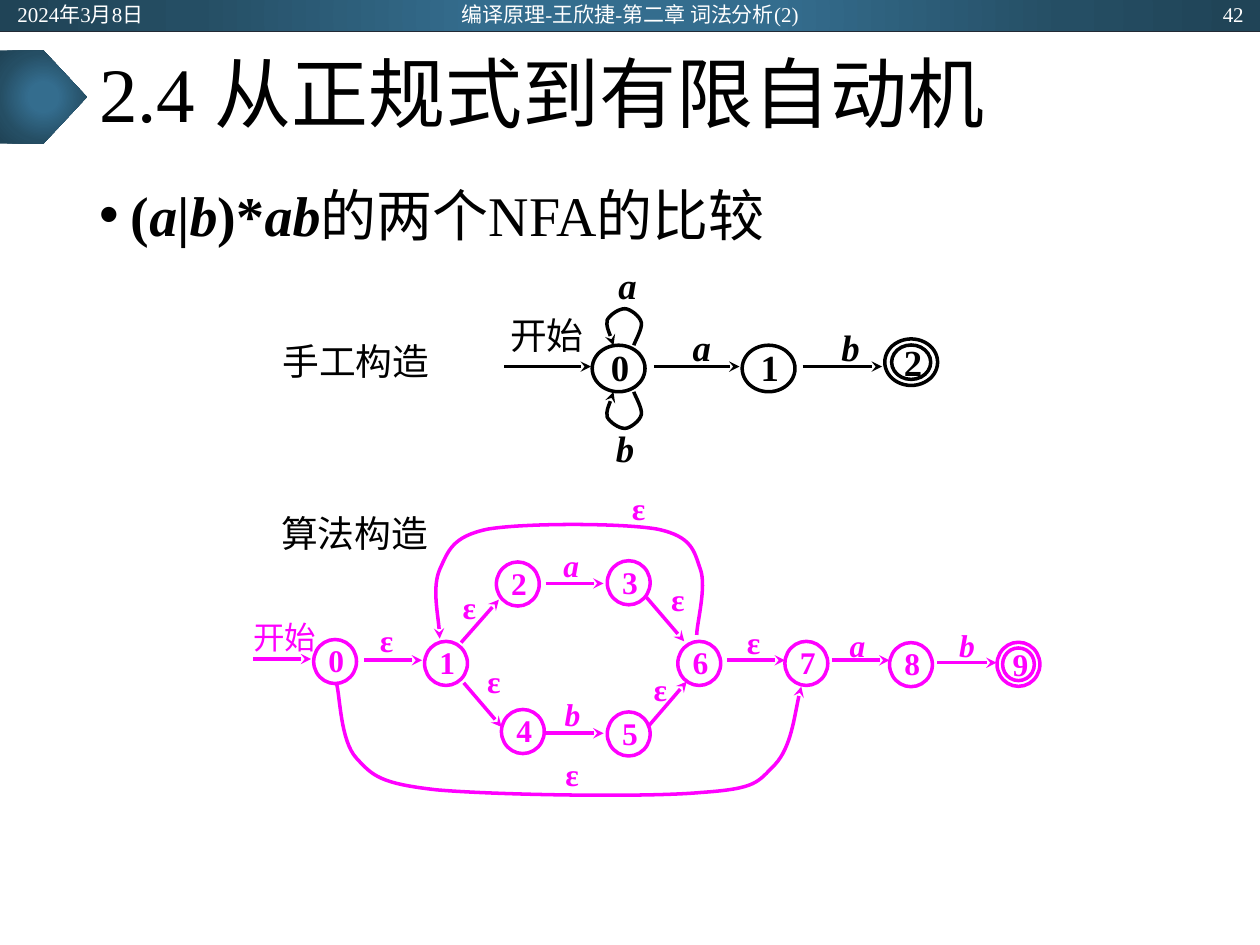
from dataclasses import dataclass

import pptx
import pptx.dml.color
import pptx.enum.shapes
import pptx.enum.text
import pptx.oxml
import pptx.oxml.ns
import pptx.util
from lxml import etree

Pt = pptx.util.Pt
qn = pptx.oxml.ns.qn
Color = pptx.dml.color.RGBColor.from_string
Align = pptx.enum.text.PP_ALIGN
Anchor = pptx.enum.text.MSO_ANCHOR
Preset = pptx.enum.shapes.MSO_SHAPE
Point = tuple[float, float]


@dataclass(frozen=True)
class Theme:
    font: str = "Times New Roman"
    ink: str = "000000"
    accent: str = "FF00FF"
    light: str = "FFFFFF"
    rule: str = "222A35"
    gradient: tuple = ((0, "346D8E"), (23, "346D8E"), (69, "254E64"), (97, "204457"))
    title: float = 44
    body: float = 32
    manual: float = 21
    algorithm: float = 18
    banner: float = 12
    stroke: float = 2


@dataclass(frozen=True)
class State:
    name: str
    x: float
    y: float
    accepting: bool = False


@dataclass(frozen=True)
class Label:
    text: str
    x: float
    y: float


@dataclass(frozen=True)
class Automaton:
    color: str
    size: float
    state_size: Point
    states: list[State]
    arrows: list[tuple[float, float, float, float]]
    curves: list[list[Point]]
    labels: list[Label]


THEME = Theme()
ACCEPTING_SCALE = 0.74
LOOP_ABOVE = [(362.2, 197.3), (362.9, 195.1), (367.2, 187.9), (366.5, 184.3),
              (365.8, 180.7), (360, 176.4), (357.1, 176.4), (353.5, 176.4),
              (348.5, 180), (347, 182.9), (346.3, 186.5), (349.9, 194.4), (350.6, 197.3)]
LOOP_AXIS = 210.6

MANUAL = Automaton(
    THEME.ink, THEME.manual, (30.2, 26.6),
    [State("0", 353.5, LOOP_AXIS), State("1", 439.2, LOOP_AXIS), State("2", 520.7, 207, True)],
    [(288, 209.5, 337.7, 209.5), (373.7, 209.5, 422.6, 209.5), (458.6, 209.5, 504, 209.5)],
    [LOOP_ABOVE, [(x, 2 * LOOP_AXIS - y) for x, y in LOOP_ABOVE]],
    [Label("开始", 312.5, 191.2), Label("a", 401, 198), Label("b", 486, 198),
     Label("a", 358.6, 162.7), Label("b", 357.1, 255.6)],
)

ALGORITHM = Automaton(
    THEME.accent, THEME.algorithm, (24.5, 25.2),
    [State("0", 191.5, 378), State("1", 254.9, 379.1), State("2", 295.9, 333.7),
     State("3", 359.3, 333), State("4", 298.8, 418), State("5", 359.3, 419.4),
     State("6", 399.6, 379.1), State("7", 460.8, 379.1), State("8", 520.6, 379.8),
     State("9", 582, 379.6, True)],
    [(144.7, 376.6, 177.8, 376.6), (208.1, 377.3, 241.2, 377.3),
     (415.4, 377.3, 448.6, 377.3), (475.2, 377.3, 508.3, 377.3),
     (535.7, 378.7, 569.5, 378.7), (311.8, 333.4, 344.9, 333.4),
     (311.8, 419, 344.9, 419), (263.5, 367.2, 285.1, 342.7),
     (369.4, 341.3, 391, 366.5), (370.8, 414.7, 392.4, 389.5),
     (265, 390.2, 286.6, 415.4)],
    [[(192.2, 390.2), (194.4, 397.4), (194.4, 423.4), (203.8, 433.4),
      (213.1, 443.5), (217.4, 447.8), (249.8, 451.4), (283, 454.3),
      (368.6, 455.8), (400.3, 452.9), (432.7, 450.7), (432.7, 447.1),
      (442.8, 437), (452.2, 427), (455, 401.8), (457.9, 392.4)],
     [(398.2, 362.9), (398.2, 356.4), (403.9, 335.5), (400.3, 325.4),
      (396.7, 315.4), (396, 306.7), (375.8, 302.4), (355.7, 298.8),
      (299.5, 298.8), (278.6, 302.4), (258.5, 306.7), (256.3, 314.6),
      (251.3, 325.4), (247, 335.5), (251.3, 356.4), (251.3, 365)]],
    [Label("开始", 162.7, 364), Label("ε", 221, 365.4), Label("ε", 268.2, 346.7),
     Label("ε", 282.2, 389.2), Label("a", 326.5, 322.9), Label("b", 327.2, 407.9),
     Label("ε", 387.4, 342.4), Label("ε", 377.3, 393.5), Label("ε", 430.6, 366.8),
     Label("a", 490, 368.3), Label("b", 552.6, 368.6), Label("ε", 326.9, 442.4),
     Label("ε", 365, 290.5)],
)


def format_font(font, size: float, color: str, bold: bool = False, italic: bool = False) -> None:
    font.name = THEME.font
    font.size = Pt(size)
    font.color.rgb = Color(color)
    font.bold = bold
    font.italic = italic


def set_text(shape, text: str, size: float, color: str, align, bold: bool = False,
             italic: bool = False, insets: tuple = (3, 1.5, 3, 1.5), wrap: bool = False) -> None:
    frame = shape.text_frame
    frame.text = text
    frame.word_wrap = wrap
    frame.vertical_anchor = Anchor.MIDDLE
    frame.margin_left, frame.margin_top, frame.margin_right, frame.margin_bottom = map(Pt, insets)
    paragraph = frame.paragraphs[0]
    paragraph.alignment = align
    format_font(paragraph.runs[0].font, size, color, bold, italic)


def format_line(shape, color: str, width: float, arrow: bool = False) -> None:
    shape.line.color.rgb = Color(color)
    shape.line.width = Pt(width)
    if arrow:
        etree.SubElement(shape.line._get_or_add_ln(), qn("a:tailEnd"), type="stealth")


def add_line(shapes, ends: tuple, color: str, width: float, arrow: bool = False) -> None:
    connector = shapes.add_connector(pptx.enum.shapes.MSO_CONNECTOR.STRAIGHT, *map(Pt, ends))
    format_line(connector, color, width, arrow)
    etree.SubElement(connector._element.spPr, qn("a:effectLst"))


def add_ring(shapes, state: State, size: Point, color: str):
    width, height = size
    ring = shapes.add_shape(Preset.OVAL, Pt(state.x - width / 2), Pt(state.y - height / 2),
                            Pt(width), Pt(height))
    ring.shadow.inherit = False
    ring.fill.background()
    format_line(ring, color, THEME.stroke)
    return ring


def add_state(shapes, state: State, automaton: Automaton) -> None:
    ring = add_ring(shapes, state, automaton.state_size, automaton.color)
    insets = (3, 1.5, 1.5, 3)
    if state.accepting:
        width, height = automaton.state_size
        inner_size = (width * ACCEPTING_SCALE, height * ACCEPTING_SCALE)
        ring = add_ring(shapes, state, inner_size, automaton.color)
        insets = (3, 0, 0.7, 0)
    set_text(ring, state.name, automaton.size, automaton.color, Align.CENTER, True, insets=insets)


def add_curve(shapes, points: list[Point], color: str) -> None:
    vertices = [(Pt(x), Pt(y)) for x, y in points]
    builder = shapes.build_freeform(*vertices[0])
    builder.add_line_segments(vertices[3::3], close=False)
    curve = builder.convert_to_shape()
    curve.shadow.inherit = False
    curve.fill.background()
    format_line(curve, color, THEME.stroke, arrow=True)
    for index, segment in enumerate(list(curve._element.iter(qn("a:lnTo")))):
        segment.tag = qn("a:cubicBezTo")
        segment.clear()
        for x, y in vertices[3 * index + 1:3 * index + 4]:
            etree.SubElement(segment, qn("a:pt"), x=str(x - curve.left), y=str(y - curve.top))


def add_label(shapes, label: Label, automaton: Automaton) -> None:
    width, height = automaton.size * 1.2 * len(label.text), automaton.size * 1.2
    box = shapes.add_textbox(Pt(label.x - width / 2), Pt(label.y - height / 2), Pt(width), Pt(height))
    set_text(box, label.text, automaton.size, automaton.color, Align.CENTER,
             bold=label.text != "开始", italic=label.text in ("a", "b"))


def add_automaton(slide, automaton: Automaton) -> None:
    shapes = slide.shapes.add_group_shape().shapes
    for curve in automaton.curves:
        add_curve(shapes, curve, automaton.color)
    for state in automaton.states:
        add_state(shapes, state, automaton)
    for arrow in automaton.arrows:
        add_line(shapes, arrow, automaton.color, THEME.stroke, arrow=True)
    for label in automaton.labels:
        add_label(shapes, label, automaton)


def add_gradient_shape(slide, preset, left: float, top: float, width: float, height: float) -> None:
    shape = slide.shapes.add_shape(preset, Pt(left), Pt(top), Pt(width), Pt(height))
    shape.shadow.inherit = False
    shape.line.fill.background()
    shape.fill.background()
    stops = "".join(f'<a:gs pos="{position * 1000}"><a:srgbClr val="{color}"/></a:gs>'
                    for position, color in THEME.gradient)
    gradient = pptx.oxml.parse_xml(
        f'<a:gradFill {pptx.oxml.ns.nsdecls("a")} rotWithShape="1"><a:gsLst>{stops}</a:gsLst>'
        '<a:path path="circle"><a:fillToRect l="50000" t="50000" r="50000" b="50000"/></a:path>'
        '</a:gradFill>')
    properties = shape._element.spPr
    properties.replace(properties.find(qn("a:noFill")), gradient)


def place(shape, left: float, top: float, width: float, height: float) -> None:
    shape.left, shape.top, shape.width, shape.height = map(Pt, (left, top, width, height))


def fill_placeholders(slide) -> None:
    title, body = slide.placeholders
    place(title, 49.5, 18, 621, 75)
    set_text(title, "2.4 从正规式到有限自动机", THEME.title, THEME.ink, Align.LEFT,
             insets=(7.2, 3.6, 7.2, 3.6), wrap=True)
    title.text_frame.paragraphs[0].line_spacing = 0.9
    place(body, 49.5, 99.5, 621, 387)
    paragraph = body.text_frame.paragraphs[0]
    properties = paragraph._p.get_or_add_pPr()
    properties.set("marL", str(Pt(18)))
    properties.set("indent", str(Pt(-18)))
    etree.SubElement(properties, qn("a:buChar"), char="•")
    paragraph.space_before = Pt(0)
    for text, bold, italic in [("(", True, False), ("a", True, True), ("|", True, False),
                               ("b", True, True), (")*", True, False), ("ab", True, True),
                               ("的两个NFA的比较", False, False)]:
        run = paragraph.add_run()
        run.text = text
        format_font(run.font, THEME.body, THEME.ink, bold, italic)


def main() -> None:
    presentation = pptx.Presentation()
    presentation.slide_width, presentation.slide_height = Pt(720), Pt(540)
    slide = presentation.slides.add_slide(presentation.slide_layouts[1])
    add_gradient_shape(slide, Preset.RECTANGLE, 0, 0, 720, 18)
    add_line(slide.shapes, (0, 18, 720, 18), THEME.rule, 0.5)
    add_gradient_shape(slide, Preset.PENTAGON, 0, 28.8, 49.7, 53.3)
    fill_placeholders(slide)
    add_automaton(slide, MANUAL)
    add_automaton(slide, ALGORITHM)
    for text, left, top in [("手工构造", 158.4, 191.5), ("算法构造", 157.7, 290.2)]:
        box = slide.shapes.add_textbox(Pt(left), Pt(top), Pt(99.4), Pt(28.8))
        set_text(box, text, THEME.manual, THEME.ink, Align.JUSTIFY, wrap=True)
    for text, left, width, align in [("2024年3月8日", 2.9, 162, Align.LEFT),
                                     ("编译原理-王欣捷-第二章 词法分析(2)", 238.3, 243.4, Align.CENTER),
                                     ("42", 555.8, 162, Align.RIGHT)]:
        box = slide.shapes.add_textbox(Pt(left), Pt(0.7), Pt(width), Pt(14.4))
        set_text(box, text, THEME.banner, THEME.light, align, insets=(7.2, 3.6, 7.2, 3.6), wrap=True)
    presentation.save("out.pptx")


if __name__ == "__main__":
    main()
